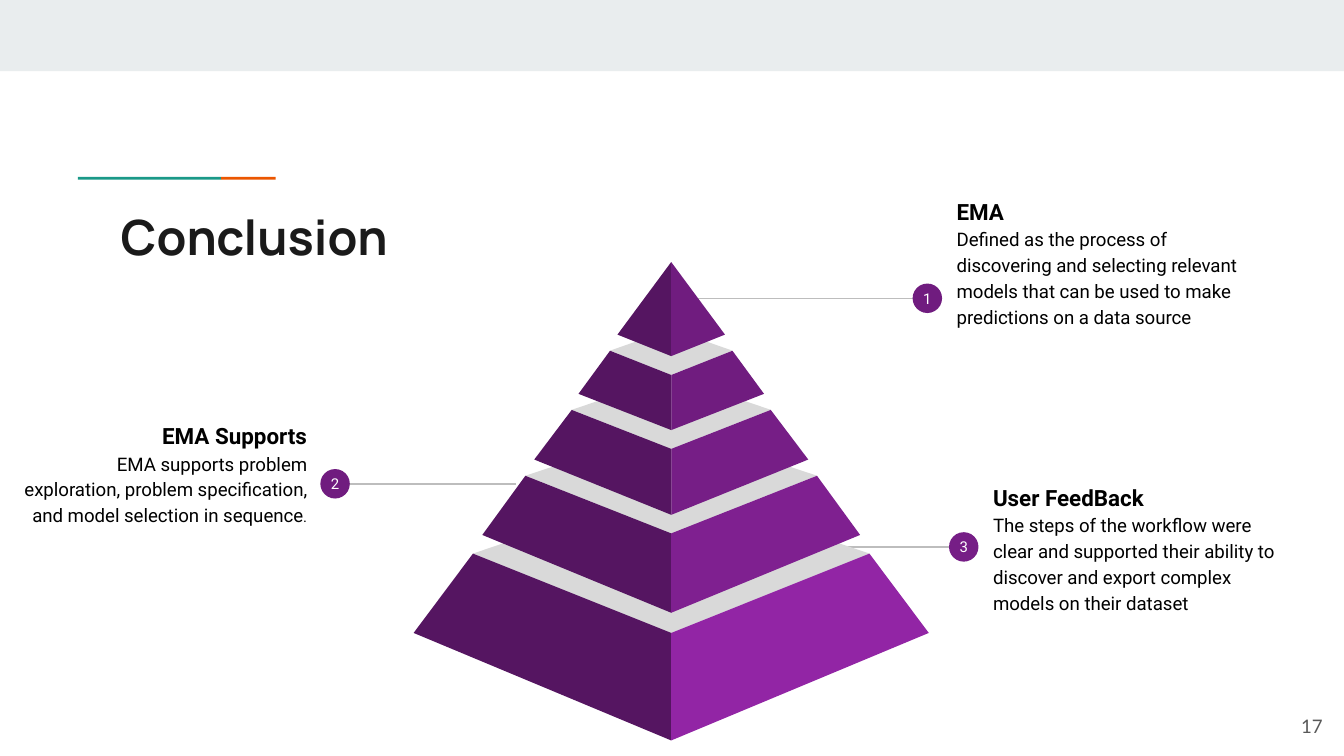
from dataclasses import dataclass

from pptx import Presentation
from pptx.dml.color import RGBColor
from pptx.enum.shapes import MSO_CONNECTOR, MSO_SHAPE
from pptx.enum.text import MSO_ANCHOR, PP_ALIGN
from pptx.oxml.ns import qn
from pptx.util import Pt
from lxml.etree import SubElement


@dataclass(frozen=True)
class Theme:
    band: str = "E9EDEE"
    teal: str = "1A9988"
    orange: str = "EB5600"
    title: str = "1A1A1A"
    page: str = "595959"
    text: str = "000000"
    white: str = "FFFFFF"
    line: str = "BDBDBD"
    cap: str = "D9D9D9"
    dark: str = "551561"
    shades: tuple = ("701C7F", "701C7F", "761E86", "7F2090", "9225A5")
    head: str = "Manrope"
    body: str = "Roboto"
    foot: str = "Lato"
    big: int = 26
    mid: int = 12
    small: int = 10
    tiny: int = 8


THEME = Theme()


def paint(shape, color):
    shape.shadow.inherit = False
    shape.fill.solid()
    shape.fill.fore_color.rgb = RGBColor.from_string(color)
    shape.line.fill.background()


def style(run, font, size, color, bold=False):
    run.font.name = font
    run.font.size = Pt(size)
    run.font.color.rgb = RGBColor.from_string(color)
    run.font.bold = bold


def add_bar(slide, box, color):
    bar = slide.shapes.add_shape(MSO_SHAPE.RECTANGLE, *map(Pt, box))
    paint(bar, color)


def add_text(slide, box, lines, align=PP_ALIGN.LEFT, anchor=MSO_ANCHOR.TOP):
    """Each line is its text followed by the arguments of style."""
    frame = slide.shapes.add_textbox(*map(Pt, box)).text_frame
    frame.word_wrap = True
    frame.vertical_anchor = anchor
    frame.margin_left = frame.margin_right = Pt(7.2)
    frame.margin_top = frame.margin_bottom = Pt(7.2)
    frame.text = "\n".join(line[0] for line in lines)
    for para, line in zip(frame.paragraphs, lines):
        para.alignment = align
        style(para.runs[0], *line[1:])
    return frame


def add_header(slide, box):
    """Top band, two-colour accent and title."""
    left, top, width, _ = box
    add_bar(slide, (left, top, width, 38.2), THEME.band)
    add_bar(slide, (left + 41.8, top + 94.7, 76.7, 1.5), THEME.teal)
    add_bar(slide, (left + 118.5, top + 94.7, 29.2, 1.5), THEME.orange)
    add_text(slide, (left + 57.6, top + 103.7, 605.5, 42.5),
             [("Conclusion", THEME.head, THEME.big, THEME.title, True)])


def add_note(slide, box, number, fill, row, tip, head, body, end=""):
    """Text box with a numbered badge beside it and a line to the pyramid."""
    left, top, width, height = box
    size = 15.8
    flip = tip > left
    hub = left + width + 7.9 if flip else left - 8.6

    # Leader line
    line = slide.shapes.add_connector(
        MSO_CONNECTOR.STRAIGHT, Pt(tip), Pt(row), Pt(hub), Pt(row))
    line.line.color.rgb = RGBColor.from_string(THEME.line)
    line.line.width = Pt(0.75)
    SubElement(line._element.spPr, qn("a:effectLst"))

    # Badge
    badge = slide.shapes.add_shape(
        MSO_SHAPE.OVAL, Pt(hub - size / 2), Pt(row - size / 2), Pt(size), Pt(size))
    paint(badge, fill)
    frame = badge.text_frame
    frame.margin_left = frame.margin_right = 0
    frame.margin_top = frame.margin_bottom = 0
    frame.word_wrap = False
    frame.vertical_anchor = MSO_ANCHOR.MIDDLE
    frame.text = str(number)
    frame.paragraphs[0].alignment = PP_ALIGN.CENTER
    style(frame.paragraphs[0].runs[0], THEME.body, THEME.tiny, THEME.white)

    # Heading and body
    frame = add_text(slide, box, [
        (head, THEME.body, THEME.mid, THEME.text, True),
        (body, THEME.body, THEME.small, THEME.text),
    ], PP_ALIGN.RIGHT if flip else PP_ALIGN.LEFT, MSO_ANCHOR.MIDDLE)
    for para in frame.paragraphs:
        para.line_spacing = 1.15
    if end:
        run = frame.paragraphs[1].add_run()
        run.text = end
        style(run, THEME.body, THEME.tiny, THEME.text)


def add_facet(slide, points, color):
    first, *rest = [(Pt(x), Pt(y)) for x, y in points]
    pen = slide.shapes.build_freeform(*first)
    pen.add_line_segments(rest, close=True)
    paint(pen.convert_to_shape(), color)


def add_pyramid(slide, box):
    """Five tiers, each with a pale top and two faces, from the base up."""
    left, top, width, _ = box
    mid = left + width / 2
    # Half width and depth of the upper and lower corners,
    # then depth of the front edge's ends and of the back corner
    tiers = [
        (0, 0, 28.8, 38.9, 0, 50.4, 0),
        (32.8, 47.5, 49.7, 70.6, 60.5, 90, 36),
        (53.3, 79.2, 73.4, 105.8, 100.1, 135.4, 61.2),
        (78.1, 114.5, 101.2, 146.2, 145.4, 187.9, 88.6),
        (106.2, 156.2, 138, 198.7, 198.7, 256.3, 120.2),
    ]
    for tier, shade in reversed(list(zip(tiers, THEME.shades))):
        upper, high, lower, low, front, foot, back = tier
        if upper:
            add_facet(slide, [(mid - upper, top + high), (mid, top + front),
                              (mid + upper, top + high), (mid, top + back)], THEME.cap)
        for side, color in ((-1, THEME.dark), (1, shade)):
            add_facet(slide, [(mid + side * upper, top + high), (mid, top + front),
                              (mid, top + foot), (mid + side * lower, top + low)], color)


def main():
    deck = Presentation()
    deck.slide_width, deck.slide_height = Pt(720), Pt(405)
    slide = deck.slides.add_slide(deck.slide_layouts[6])

    add_header(slide, (0, 0, 720, 150))
    add_text(slide, (672.5, 373.7, 43.2, 31),
             [("17", THEME.foot, THEME.small, THEME.page)],
             PP_ALIGN.RIGHT, MSO_ANCHOR.MIDDLE)

    # Notes lie below the pyramid so that it covers the line ends
    add_note(slide, (505.4, 90, 168, 99.4), 1, THEME.shades[0], 159.8, 372.2, "EMA",
             "Defined as the process of discovering and selecting relevant models "
             "that can be used to make predictions on a data source")
    add_note(slide, (524.9, 263.5, 168, 59), 3, THEME.shades[2], 293, 433.4,
             "User FeedBack",
             "The steps of the workflow were clear and supported their ability to "
             "discover and export complex models on their dataset")
    add_note(slide, (3.6, 216.7, 168, 72.7), 2, THEME.shades[0], 259.2, 276.5,
             "EMA Supports",
             "EMA supports problem exploration, problem specification, "
             "and model selection in sequence", ".")
    add_pyramid(slide, (221.6, 140.4, 276, 256.3))

    deck.save("out.pptx")


if __name__ == "__main__":
    main()
